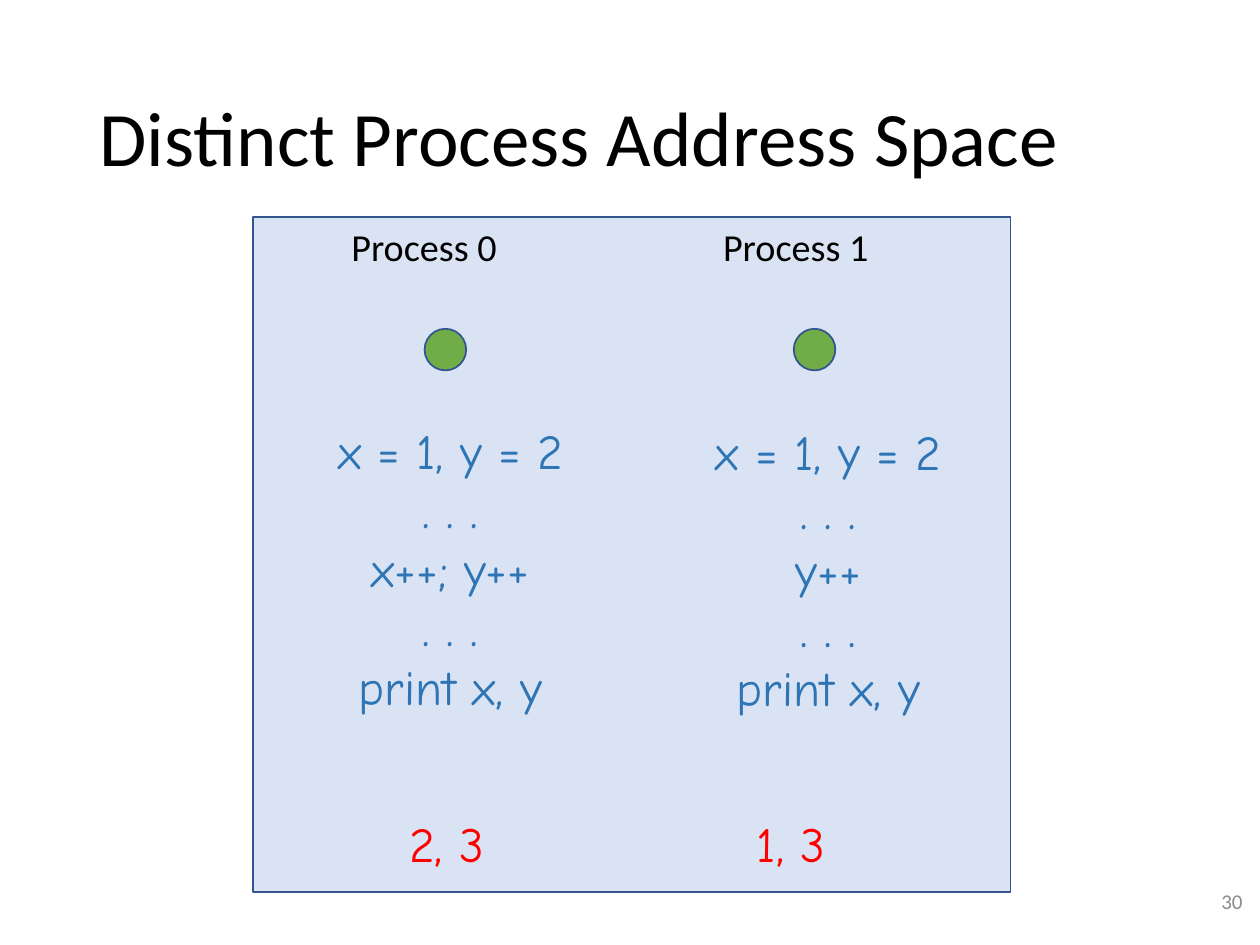
from dataclasses import dataclass

import pptx
import pptx.dml.color
import pptx.enum.shapes
import pptx.enum.text
import pptx.util

COLUMNS, ROWS = 100, 75
ALIGN = pptx.enum.text.PP_ALIGN
ANCHOR = pptx.enum.text.MSO_ANCHOR
SHAPE = pptx.enum.shapes.MSO_SHAPE

presentation = pptx.Presentation()
presentation.slide_width = pptx.util.Inches(10)
presentation.slide_height = pptx.util.Inches(7.5)


@dataclass
class Area:
    column: float
    row: float
    width: float
    height: float

    def lengths(self) -> list[int]:
        column_unit = presentation.slide_width / COLUMNS
        row_unit = presentation.slide_height / ROWS
        return [
            round(self.column * column_unit),
            round(self.row * row_unit),
            round(self.width * column_unit),
            round(self.height * row_unit),
        ]


@dataclass
class TextStyle:
    size: float
    font: str
    color: str
    align: ALIGN = ALIGN.LEFT
    anchor: ANCHOR = ANCHOR.TOP
    wrap: bool = True


@dataclass
class Process:
    name: str
    statements: list[str]
    output: str
    name_column: float
    dot_column: float
    code_area: Area
    output_column: float


TITLE = TextStyle(44, "Calibri", "000000", anchor=ANCHOR.MIDDLE)
NUMBER = TextStyle(12, "Calibri", "8C8C8C", ALIGN.RIGHT, ANCHOR.MIDDLE)
NAME = TextStyle(21.8, "Calibri", "000000", wrap=False)
CODE = TextStyle(28, "Comic Neue", "2E75B6", ALIGN.CENTER)
OUTPUT = TextStyle(28, "Comic Neue", "FF0000")

PROCESSES = [
    Process("Process 0", ["x = 1, y = 2", ". . .", "x++; y++", ". . .", "print x, y"],
            "2, 3", 26.9, 33.7, Area(22.5, 32.9, 26.5, 24.6), 31.5),
    Process("Process 1", ["x = 1, y = 2", ". . .", "y++", ". . .", "print x, y"],
            "1, 3", 56.4, 63, Area(52.6, 33, 26.3, 24.6), 59.1),
]


def color(value: str) -> pptx.dml.color.RGBColor:
    return pptx.dml.color.RGBColor.from_string(value)


def write(shape, lines: list[str], style: TextStyle) -> None:
    frame = shape.text_frame
    frame.word_wrap = style.wrap
    frame.vertical_anchor = style.anchor
    for index, line in enumerate(lines):
        paragraph = frame.add_paragraph() if index else frame.paragraphs[0]
        paragraph.alignment = style.align
        run = paragraph.add_run()
        run.text = line
        run.font.size = pptx.util.Pt(style.size)
        run.font.name = style.font
        run.font.color.rgb = color(style.color)


def add_text(slide, area: Area, lines: list[str], style: TextStyle) -> None:
    write(slide.shapes.add_textbox(*area.lengths()), lines, style)


def add_figure(slide, kind: SHAPE, area: Area, fill: str) -> None:
    shape = slide.shapes.add_shape(kind, *area.lengths())
    shape.shadow.inherit = False
    shape.fill.solid()
    shape.fill.fore_color.rgb = color(fill)
    shape.line.color.rgb = color("325491")
    shape.line.width = pptx.util.Pt(1)


def add_title(slide, area: Area, text: str) -> None:
    title = slide.shapes.title
    title.left, title.top, title.width, title.height = area.lengths()
    write(title, [text], TITLE)
    title.text_frame.auto_size = pptx.enum.text.MSO_AUTO_SIZE.NONE
    title.text_frame.paragraphs[0].line_spacing = 0.9


def add_process(slide, process: Process) -> None:
    add_figure(slide, SHAPE.OVAL, Area(process.dot_column, 26.1, 3.3, 3.3), "70AD47")
    add_text(slide, process.code_area, process.statements, CODE)
    add_text(slide, Area(process.output_column, 64.1, 12, 5.7), [process.output], OUTPUT)
    add_text(slide, Area(process.name_column, 17.2, 15.6, 4.7), [process.name], NAME)


def main() -> None:
    slide = presentation.slides.add_slide(presentation.slide_layouts[5])
    add_title(slide, Area(6.9, 4, 86.2, 14.5), "Distinct Process Address Space")
    add_text(slide, Area(77.1, 69.5, 22.5, 4), ["30"], NUMBER)
    add_figure(slide, SHAPE.RECTANGLE, Area(20.1, 17.2, 60.1, 53.6), "DAE3F3")
    for process in PROCESSES:
        add_process(slide, process)
    presentation.save("out.pptx")


if __name__ == "__main__":
    main()
